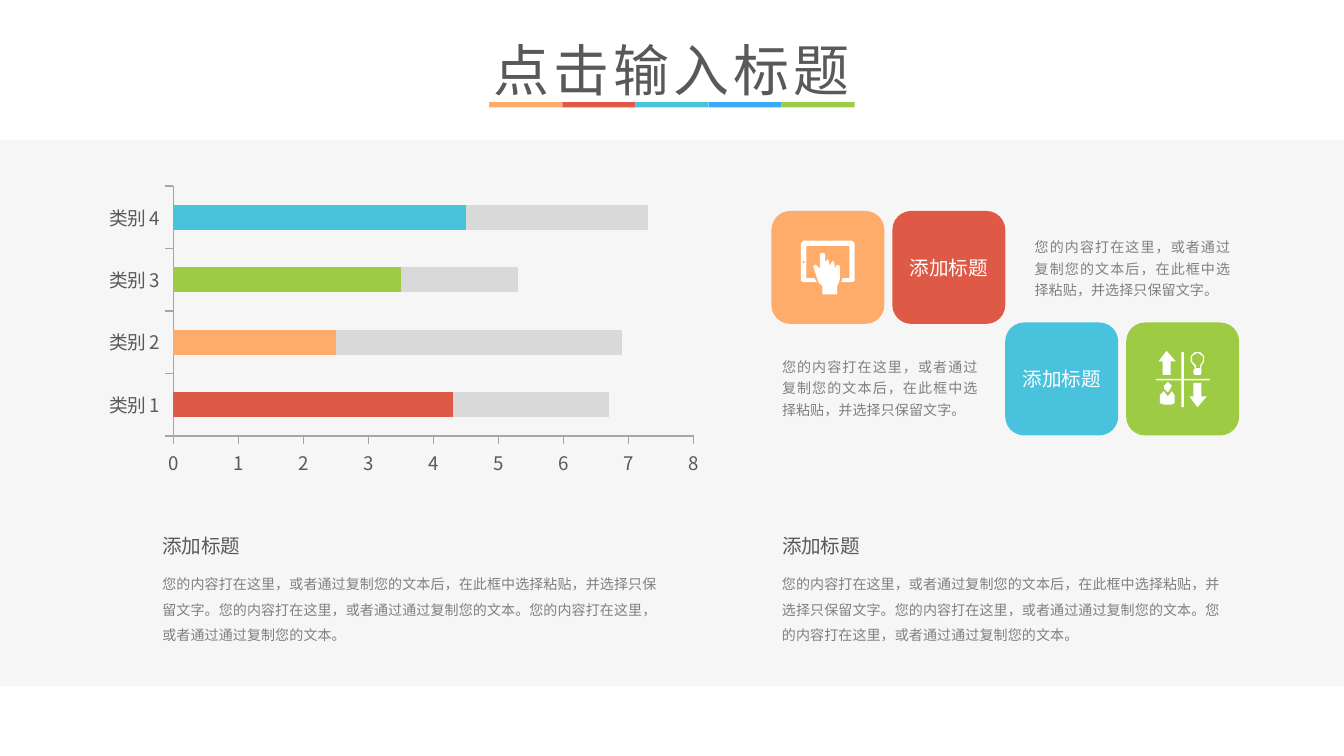
"""Build a slide with a stacked bar chart, four tiles and notes on a grid of tenths of an inch."""
from typing import NamedTuple

from lxml import etree
from pptx import Presentation
from pptx.chart.data import CategoryChartData
from pptx.dml.color import RGBColor
from pptx.enum.chart import XL_CHART_TYPE, XL_TICK_MARK
from pptx.enum.shapes import MSO_SHAPE
from pptx.enum.text import MSO_ANCHOR, MSO_AUTO_SIZE, PP_ALIGN
from pptx.oxml import parse_xml
from pptx.oxml.ns import nsdecls, qn
from pptx.util import Emu, Pt

RECT, ROUND = MSO_SHAPE.RECTANGLE, MSO_SHAPE.ROUNDED_RECTANGLE
BARS, OUT = XL_CHART_TYPE.BAR_STACKED, XL_TICK_MARK.OUTSIDE
LEFT, CENTER, FULL = PP_ALIGN.LEFT, PP_ALIGN.CENTER, PP_ALIGN.JUSTIFY
TOP, MIDDLE = MSO_ANCHOR.TOP, MSO_ANCHOR.MIDDLE
GROW = MSO_AUTO_SIZE.SHAPE_TO_FIT_TEXT

ORANGE = RGBColor(0xFF, 0xAC, 0x6A)
RED = RGBColor(0xDF, 0x59, 0x47)
TEAL = RGBColor(0x49, 0xC2, 0xDD)
BLUE = RGBColor(0x3B, 0xA9, 0xF8)
GREEN = RGBColor(0x9D, 0xCB, 0x43)
WHITE = RGBColor(0xFF, 0xFF, 0xFF)
PALE = RGBColor(0xF6, 0xF6, 0xF6)
SILVER = RGBColor(0xD9, 0xD9, 0xD9)
STEEL = RGBColor(0xA6, 0xA6, 0xA6)
GRAY = RGBColor(0x80, 0x80, 0x80)
DARK = RGBColor(0x59, 0x59, 0x59)

CELL = 91440
COLS, ROWS = 100, 56.25
SANS, HEAD = "Noto Sans CJK SC", "Noto Sans CJK JP"
LABEL = "添加标题"
BRIEF = "您的内容打在这里，或者通过复制您的文本后，在此框中选择粘贴，并选择只保留文字。"
LONG = BRIEF + "您的内容打在这里，或者通过通过复制您的文本。" * 2

TABLET = [
    [(634, 179), (598, 179), (596, 181), (596, 209), (598, 210), (608, 210), (606, 207),
     (600, 207), (600, 183), (632, 183), (632, 207), (627, 207), (626, 210), (634, 210),
     (636, 209), (636, 181)],
    [(598, 196), (597, 195), (598, 194), (599, 195)],
]
HAND = [
    [(625, 203), (625, 198), (623, 197), (622, 198), (622, 199), (621, 199), (621, 196),
     (620, 194), (618, 196), (618, 197), (617, 197), (617, 195), (616, 193), (614, 195),
     (614, 189), (612, 188), (610, 189), (610, 203), (610, 200), (607, 197), (605, 198),
     (607, 204), (609, 210), (612, 213), (612, 219), (623, 219), (623, 213), (625, 208)],
]
SIGNS = [
    [(900, 282), (900, 283), (881, 283), (881, 303), (879, 303), (879, 283), (860, 283),
     (860, 282), (879, 282), (879, 262), (881, 262), (881, 282)],
    [(865, 279), (871, 279), (871, 269), (875, 269), (868, 261), (862, 269), (865, 269)],
    [(894, 285), (888, 285), (888, 295), (885, 295), (891, 303), (898, 295), (894, 295)],
    [(866, 289), (869, 292), (871, 289), (872, 287), (869, 284), (866, 287)],
    [(872, 291), (869, 295), (866, 291), (863, 294), (863, 300), (866, 301), (872, 301),
     (874, 300), (874, 294)],
    [(889, 275), (889, 273), (886, 269), (886, 665 - 400), (889, 262), (893, 262),
     (896, 265), (896, 269), (894, 272), (894, 275)],
    [(890, 274), (890, 272), (887, 269), (887, 265), (890, 263), (892, 263), (895, 265),
     (895, 269), (893, 272), (893, 274)],
    [(888, 275), (894, 275), (894, 278), (893, 279), (889, 279), (888, 278)],
]


class Box(NamedTuple):
    """Place and size in grid cells."""
    x: float
    y: float
    w: float
    h: float

    def emu(self) -> list[Emu]:
        """Return the four lengths."""
        return [Emu(round(n * CELL)) for n in self]


class Tile(NamedTuple):
    """A round square with an optional label."""
    x: float
    y: float
    fill: RGBColor
    text: str = ""


class Note(NamedTuple):
    """A text box with its format."""
    box: Box
    text: str
    form: dict


def style(font, size: float, color: RGBColor, face: str = SANS) -> None:
    """Set size, colour and both faces of a font."""
    font.size = Pt(size)
    font.color.rgb = color
    font.name = face
    etree.SubElement(font._rPr, qn("a:ea")).set("typeface", face)


def write(shape, text: str, *, size: float, color: RGBColor, lead: float, face: str = SANS,
          align=LEFT, anchor=TOP, wrap: bool = True, space: int = 0) -> None:
    """Put one formatted paragraph into a shape."""
    frame = shape.text_frame
    frame.word_wrap = wrap
    frame.vertical_anchor = anchor
    para = frame.paragraphs[0]
    para.alignment = align
    para.line_spacing = Pt(lead)
    run = para.add_run()
    run.text = text
    style(run.font, size, color, face)
    if space:
        run.font._rPr.set("spc", str(space))


def paint(shape, fill: RGBColor) -> None:
    """Give a shape a flat fill without line or shadow."""
    shape.shadow.inherit = False
    shape.fill.solid()
    shape.fill.fore_color.rgb = fill
    shape.line.fill.background()


def block(slide, kind, box: Box, fill: RGBColor):
    """Add a flat preset shape."""
    shape = slide.shapes.add_shape(kind, *box.emu())
    paint(shape, fill)
    return shape


def icon(slide, loops: list) -> None:
    """Add a white outline given in tenths of a cell."""
    pen = slide.shapes.build_freeform(*loops[0][0], scale=CELL / 10)
    for loop in loops:
        pen.move_to(*loop[0])
        pen.add_line_segments(loop[1:], close=True)
    paint(pen.convert_to_shape(), WHITE)


def graph(slide, box: Box) -> None:
    """Add the stacked bar chart."""
    data = CategoryChartData()
    data.categories = [f"类别 {n}" for n in range(1, 5)]
    data.add_series("Series 1", (4.3, 2.5, 3.5, 4.5))
    data.add_series("Series 2", (2.4, 4.4, 1.8, 2.8))
    chart = slide.shapes.add_chart(BARS, *box.emu(), data).chart
    chart.has_legend = chart.has_title = False
    plot = chart.plots[0]
    plot.gap_width, plot.overlap, plot.vary_by_categories = 150, 100, False
    first, rest = plot.series
    for i, color in enumerate((RED, ORANGE, GREEN, TEAL)):
        fill = first.points[i].format.fill
        fill.solid()
        fill.fore_color.rgb = color
    rest.format.fill.solid()
    rest.format.fill.fore_color.rgb = SILVER
    for axis in (chart.category_axis, chart.value_axis):
        axis.has_major_gridlines = False
        axis.major_tick_mark = OUT
        axis.format.line.color.rgb = STEEL
        axis.format.line.width = Pt(0.75)
        style(axis.tick_labels.font, 10, DARK)
    axis.minimum_scale, axis.maximum_scale, axis.major_unit = 0, 8, 1
    area = chart._chartSpace.chart.plotArea
    for old in area.findall(qn("c:layout")):
        area.remove(old)
    parts = [("layoutTarget", "inner"), ("xMode", "edge"), ("yMode", "edge"),
             ("x", 0.13), ("y", 0.02), ("w", 0.84), ("h", 0.83)]
    inner = "".join(f'<c:{tag} val="{val}"/>' for tag, val in parts)
    area.insert(0, parse_xml(f'<c:layout {nsdecls("c")}><c:manualLayout>{inner}'
                             "</c:manualLayout></c:layout>"))


def main() -> None:
    """Build and save the slide."""
    deck = Presentation()
    deck.slide_width, deck.slide_height = Emu(COLS * CELL), Emu(int(ROWS * CELL))
    slide = deck.slides.add_slide(deck.slide_layouts[6])

    for i, color in enumerate((ORANGE, RED, TEAL, BLUE, GREEN)):
        block(slide, RECT, Box(36.4 + 5.44 * i, 7.6, 5.44, 0.4), color)
    block(slide, RECT, Box(0, 10.4, COLS, 40.7), PALE)
    graph(slide, Box(6.9, 13.4, 46.1, 22.4))

    for tile in (Tile(57.4, 15.7, ORANGE), Tile(66.4, 15.7, RED, LABEL),
                 Tile(74.8, 24, TEAL, LABEL), Tile(83.8, 24, GREEN)):
        shape = block(slide, ROUND, Box(tile.x, tile.y, 8.4, 8.4), tile.fill)
        if tile.text:
            write(shape, tile.text, size=10.5, color=WHITE, lead=12.8,
                  align=CENTER, anchor=MIDDLE, wrap=False)
    for loops in (TABLET, HAND, SIGNS):
        icon(slide, loops)

    title = dict(size=30, color=DARK, lead=36.6, face=HEAD, align=CENTER, wrap=False, space=220)
    brief = dict(size=7.5, color=GRAY, lead=11.6, align=FULL)
    label = dict(size=10.5, color=DARK, lead=12.8, wrap=False)
    body = dict(size=7.5, color=GRAY, lead=13.7)
    notes = [Note(Box(35.4, 2.1, 29.2, 6.1), "点击输入标题", title),
             Note(Box(76, 16.9, 16.5, 5.9), BRIEF, brief),
             Note(Box(57.2, 25.8, 16.5, 5.9), BRIEF, brief)]
    for x, wide in ((11.1, 39), (57.2, 35.3)):
        notes += [Note(Box(x, 39.2, 7.9, 2.8), LABEL, label),
                  Note(Box(x, 41.7, wide, 6.7), LONG, body)]
    for note in notes:
        shape = slide.shapes.add_textbox(*note.box.emu())
        write(shape, note.text, **note.form)
        shape.text_frame.auto_size = GROW

    deck.save("out.pptx")


if __name__ == "__main__":
    main()
